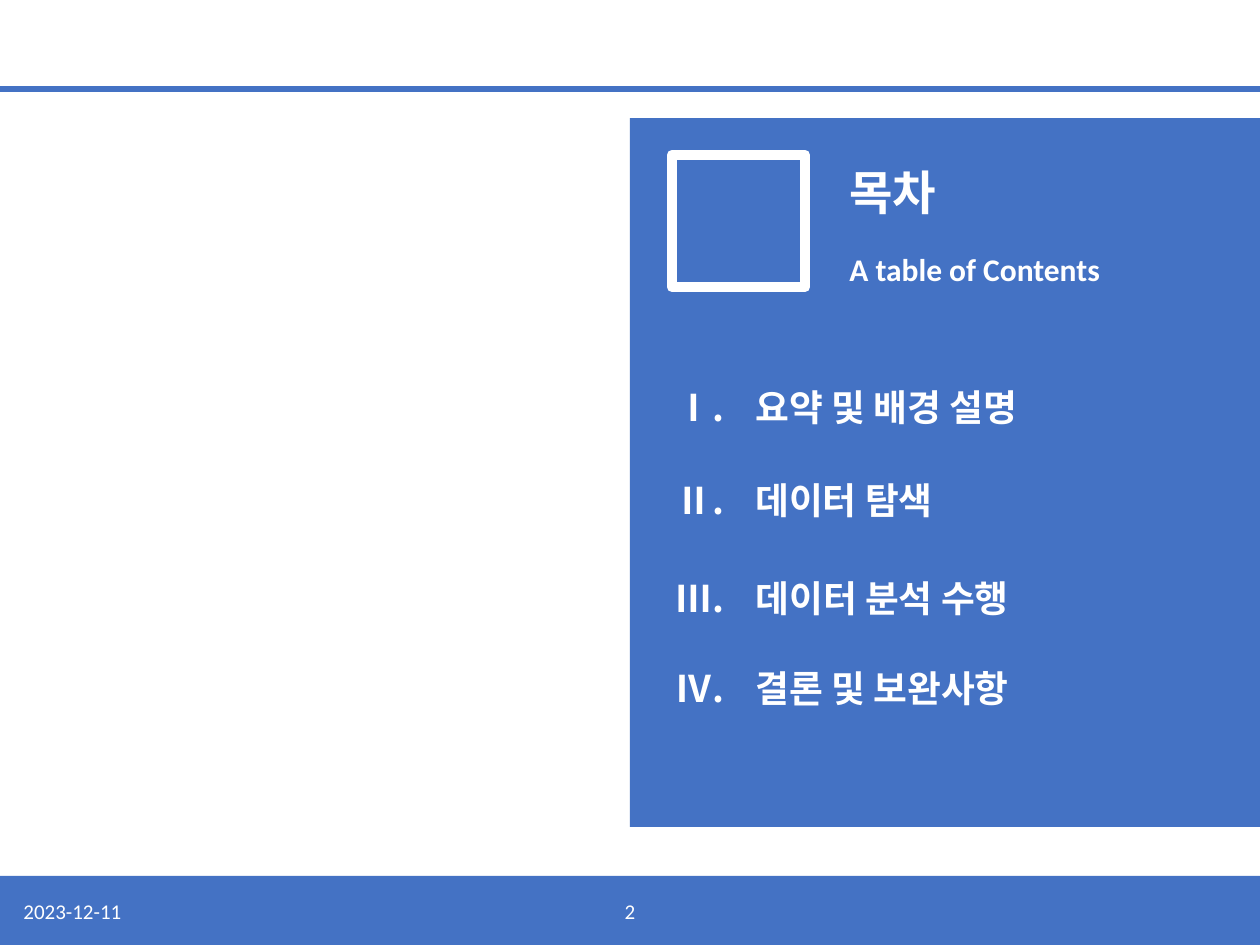
"""Builds a table-of-contents slide with a blue panel and four numbered entries."""
from dataclasses import dataclass

from lxml.etree import SubElement
from pptx import Presentation
from pptx.dml.color import RGBColor
from pptx.enum.shapes import MSO_SHAPE
from pptx.enum.text import MSO_ANCHOR, MSO_AUTO_SIZE, PP_ALIGN
from pptx.oxml.ns import qn
from pptx.util import Pt

EMU_PER_PX = 914400 / 126
BLUE, WHITE = "4472C4", "FFFFFF"
LATIN, KOREAN = "Calibri", "Noto Sans CJK KR"


@dataclass(frozen=True)
class Box:
    left: int
    top: int
    width: int
    height: int

    def emu(self) -> list[int]:
        return [px(value) for value in (self.left, self.top, self.width, self.height)]


@dataclass(frozen=True)
class Entry:
    numeral: str
    title: str
    top: int
    width: int


@dataclass(frozen=True)
class Style:
    size: int
    font: str
    bold: bool = True
    wrap: bool = True
    grow: bool = True
    align: PP_ALIGN = PP_ALIGN.LEFT


SUBTITLE = Style(18, LATIN)
TITLE = Style(27, KOREAN)
ENTRY = Style(21, KOREAN, wrap=False)
DATE = Style(12, LATIN, bold=False, grow=False)
PAGE_NUMBER = Style(12, LATIN, bold=False, grow=False, align=PP_ALIGN.CENTER)

FOOTER_BAR = Box(0, 876, 1260, 69)
HEADER_RULE = Box(0, 86, 1260, 6)
PANEL = Box(630, 118, 630, 709)
FRAME = Box(672, 155, 133, 132)

ENTRIES = [
    Entry("Ⅰ.", "요약 및 배경 설명", 379, 324),
    Entry("Ⅱ.", "데이터 탐색", 472, 224),
    Entry("Ⅲ.", "데이터 분석 수행", 570, 311),
    Entry("Ⅳ.", "결론 및 보완사항", 660, 311),
]
NUMERAL_LEFT, NUMERAL_WIDTH, ENTRY_HEIGHT = 663, 80, 57


def px(value: int) -> int:
    return round(value * EMU_PER_PX)


def color(value: str) -> RGBColor:
    return RGBColor.from_string(value)


def add_rectangle(slide, box: Box):
    shape = slide.shapes.add_shape(MSO_SHAPE.RECTANGLE, *box.emu())
    shape.shadow.inherit = False
    return shape


def add_filled(slide, box: Box) -> None:
    shape = add_rectangle(slide, box)
    shape.fill.solid()
    shape.fill.fore_color.rgb = color(BLUE)
    shape.line.fill.background()


def add_frame(slide, box: Box) -> None:
    shape = add_rectangle(slide, box)
    shape.fill.background()
    shape.line.color.rgb = color(WHITE)
    shape.line.width = Pt(6)


def add_text(shapes, box: Box, text: str, style: Style) -> None:
    text_frame = shapes.add_textbox(*box.emu()).text_frame
    text_frame.text = text
    text_frame.word_wrap = style.wrap
    if style.grow:
        text_frame.auto_size = MSO_AUTO_SIZE.SHAPE_TO_FIT_TEXT
    else:
        text_frame.vertical_anchor = MSO_ANCHOR.MIDDLE
    paragraph = text_frame.paragraphs[0]
    paragraph.alignment = style.align
    font = paragraph.runs[0].font
    font.size = Pt(style.size)
    font.bold = style.bold
    font.color.rgb = color(WHITE)
    font.name = style.font
    SubElement(paragraph.runs[0]._r.get_or_add_rPr(), qn("a:ea"), typeface=style.font)


def add_entry(slide, entry: Entry) -> None:
    group = slide.shapes.add_group_shape()
    numeral_box = Box(NUMERAL_LEFT, entry.top, NUMERAL_WIDTH, ENTRY_HEIGHT)
    title_box = Box(NUMERAL_LEFT + NUMERAL_WIDTH, entry.top, entry.width, ENTRY_HEIGHT)
    add_text(group.shapes, numeral_box, entry.numeral, ENTRY)
    add_text(group.shapes, title_box, entry.title, ENTRY)


def main() -> None:
    presentation = Presentation()
    presentation.slide_width, presentation.slide_height = px(1260), px(945)
    slide = presentation.slides.add_slide(presentation.slide_layouts[6])
    for box in (FOOTER_BAR, HEADER_RULE, PANEL):
        add_filled(slide, box)
    add_frame(slide, FRAME)
    add_text(slide.shapes, Box(837, 244, 328, 50), "A table of Contents", SUBTITLE)
    add_text(slide.shapes, Box(837, 157, 328, 71), "목차", TITLE)
    for entry in ENTRIES:
        add_entry(slide, entry)
    add_text(slide.shapes, Box(11, 886, 284, 50), "2023-12-11", DATE)
    add_text(slide.shapes, Box(488, 886, 284, 50), "2", PAGE_NUMBER)
    presentation.save("out.pptx")


if __name__ == "__main__":
    main()
